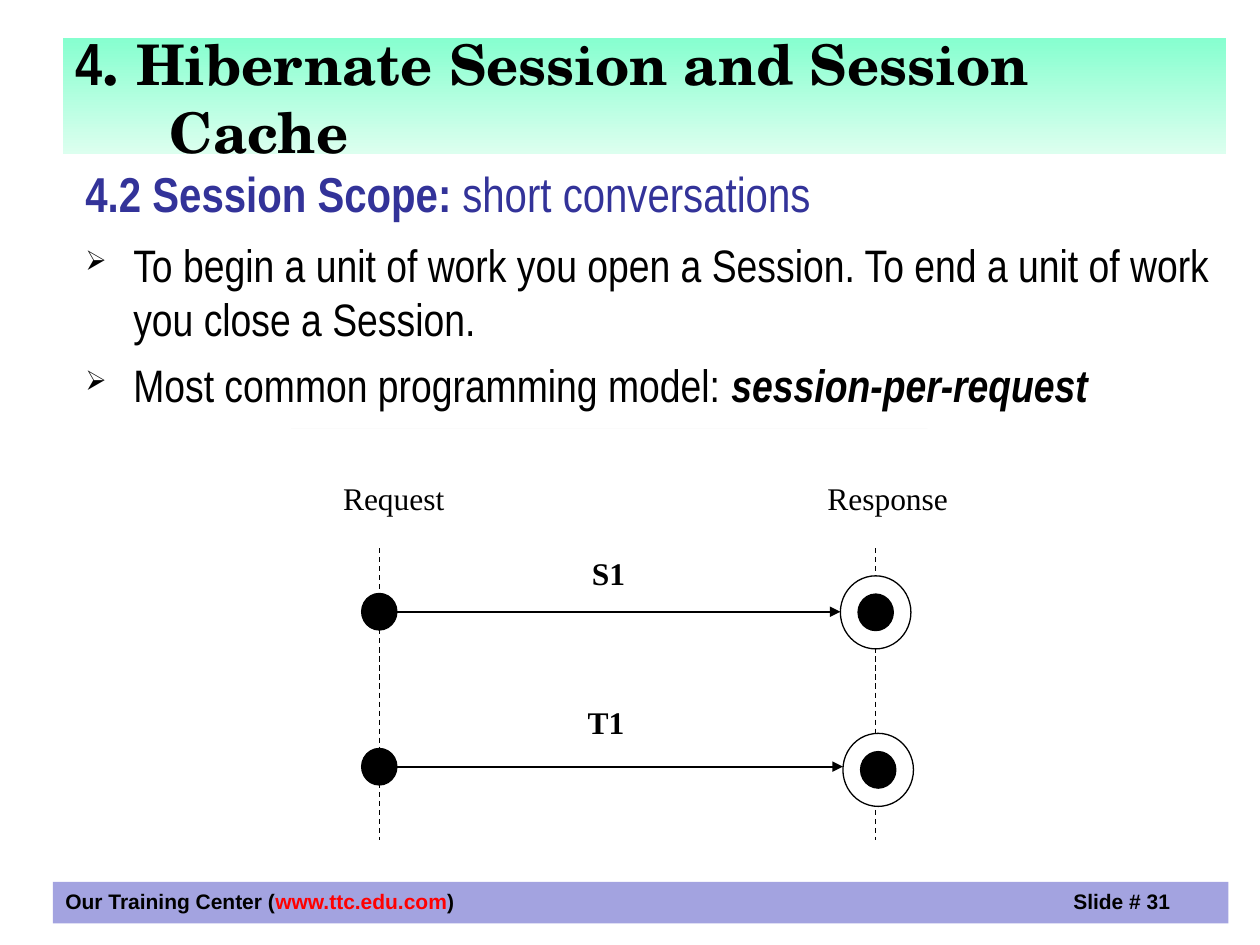
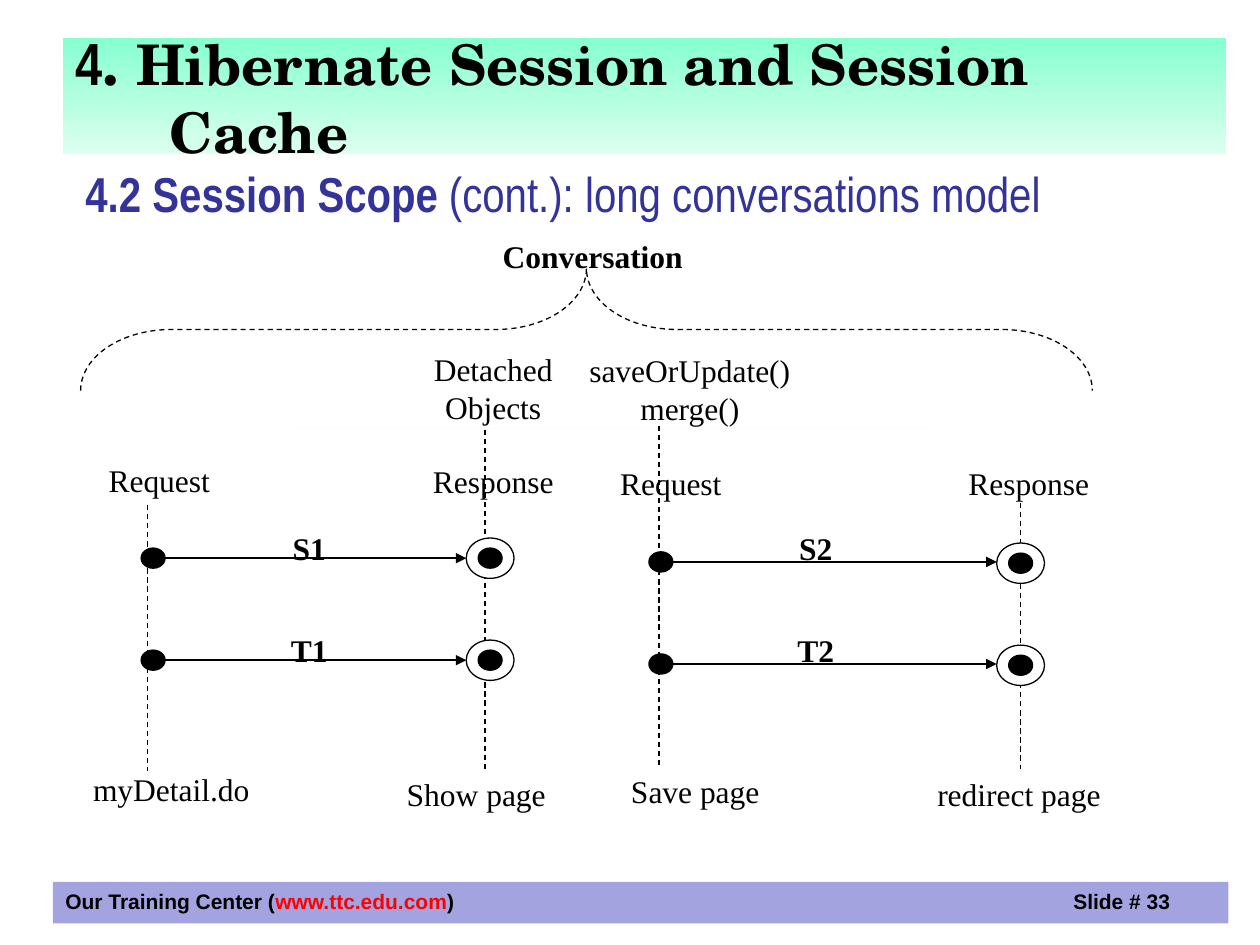
"""Builds two slides on Hibernate session scope: short and long conversations."""
from lxml import etree
from pptx import Presentation
from pptx.dml.color import RGBColor
from pptx.enum.dml import MSO_LINE
from pptx.enum.shapes import MSO_CONNECTOR, MSO_SHAPE
from pptx.enum.text import MSO_ANCHOR, PP_ALIGN
from pptx.oxml.ns import qn
from pptx.util import Inches, Pt

BLACK = RGBColor(0x00, 0x00, 0x00)
WHITE = RGBColor(0xFF, 0xFF, 0xFF)
RED = RGBColor(0xFF, 0x00, 0x00)
NAVY = RGBColor(0x33, 0x33, 0x99)
LAVENDER = RGBColor(0xA3, 0xA3, 0xE0)
MINT = RGBColor(0x86, 0xFF, 0xCF)
PALE_MINT = RGBColor(0xDC, 0xFF, 0xEF)
PALE_GRAY = RGBColor(0xE6, 0xE6, 0xE6)
RECTANGLE, OVAL, BRACE = MSO_SHAPE.RECTANGLE, MSO_SHAPE.OVAL, MSO_SHAPE.RIGHT_BRACE
STRAIGHT = MSO_CONNECTOR.STRAIGHT
DASH = MSO_LINE.DASH
LEFT, CENTER = PP_ALIGN.LEFT, PP_ALIGN.CENTER
TOP, MIDDLE = MSO_ANCHOR.TOP, MSO_ANCHOR.MIDDLE
NARROW, SCHOLA, TIMES = "Arial Narrow", "TeX Gyre Schola", "Times New Roman"

ROW_STEP = 0.81
SLIDES = [
    {
        "number": 31,
        "heading": ("4.2 Session Scope: ", "short conversations"),
        "bullets": [
            [("To begin a unit of work you open a Session. "
              "To end a unit of work you close a Session.", False)],
            [("Most common programming model: ", False), ("session-per-request", True)],
        ],
        "lifelines": [(3.01, 4.35, 6.67), (6.95, 4.35, 6.67)],
        "dot_size": (0.28, 0.29),
        "ring_size": (0.56, 0.58),
        "exchanges": [
            ("S1", (2.87, 4.71), (6.67, 4.57), (4.41, 4.35, 0.84, 0.87)),
            ("T1", (2.87, 5.94), (6.69, 5.82), (4.39, 5.53, 0.84, 0.87)),
        ],
        "labels": [
            ("Request", (2, 3.75, 2.25, 0.87), CENTER),
            ("Response", (5.92, 3.75, 2.25, 0.87), CENTER),
        ],
    },
    {
        "number": 33,
        "heading": ("4.2 Session Scope ", "(cont.): long conversations model"),
        "bullets": [],
        "lifelines": [(1.17, 4.01, 6.12), (3.85, 3.41, 6.12),
                      (5.23, 3.38, 6.1), (8.1, 3.99, 6.1)],
        "dot_size": (0.19, 0.16),
        "ring_size": (0.38, 0.32),
        "exchanges": [
            (f"{kind}{request}", (dot_left, dot_top + row * ROW_STEP),
             (ring_left, ring_top + row * ROW_STEP),
             (name_left, 4.15 + row * ROW_STEP, 0.57, 0.49))
            for row, kind in enumerate("ST")
            for request, dot_left, dot_top, ring_left, ring_top, name_left in (
                (1, 1.12, 4.35, 3.7, 4.27, 2.17),
                (2, 5.15, 4.38, 7.91, 4.31, 6.19),
            )
        ],
        "labels": [
            ("Request", (0.5, 3.61, 1.53, 0.49), CENTER),
            ("Response", (3.15, 3.62, 1.53, 0.49), CENTER),
            ("Request", (4.56, 3.63, 1.53, 0.49), CENTER),
            ("Response", (7.4, 3.63, 1.53, 0.49), CENTER),
            ("myDetail.do", (0.64, 6.06, 1.53, 0.49), LEFT),
            ("Show page", (3.13, 6.1, 1.53, 0.49), LEFT),
            ("Save page", (4.91, 6.08, 1.53, 0.49), LEFT),
            ("redirect page", (7.34, 6.1, 1.91, 0.49), LEFT),
            ("Detached Objects", (3.15, 2.73, 1.53, 0.65), CENTER),
            ("saveOrUpdate()\nmerge()", (4.52, 2.74, 1.91, 0.76), CENTER),
        ],
    },
]


def add_label(slide, text, box, alignment=CENTER, bold=False):
    frame = slide.shapes.add_textbox(*map(Inches, box)).text_frame
    frame.word_wrap = True
    frame.text = text
    for paragraph in frame.paragraphs:
        paragraph.alignment = alignment
        paragraph.font.name = TIMES
        paragraph.font.size = Pt(18)
        paragraph.font.bold = bold
        paragraph.font.color.rgb = BLACK


def add_line(slide, ends, width, arrow=False):
    line = slide.shapes.add_connector(STRAIGHT, *map(Inches, ends))
    line.line.color.rgb = BLACK
    line.line.width = Pt(width)
    properties = line.element.spPr
    if arrow:
        etree.SubElement(properties.find(qn("a:ln")), qn("a:tailEnd"), type="triangle")
    else:
        line.line.dash_style = DASH
    etree.SubElement(properties, qn("a:effectLst"))


presentation = Presentation()
presentation.slide_width = Inches(10)
presentation.slide_height = Inches(7.5)

for content in SLIDES:
    slide = presentation.slides.add_slide(presentation.slide_layouts[6])
    shapes = slide.shapes

    footer, title, rule = [
        shapes.add_shape(RECTANGLE, *map(Inches, box))
        for box in ((0.42, 7, 9.33, 0.33), (0.5, 0.3, 9.23, 0.92), (2.31, 3.4, 5.05, 0))
    ]
    for band, color in ((footer, LAVENDER), (title, None), (rule, PALE_GRAY)):
        band.shadow.inherit = False
        band.line.fill.background()
        if color:
            band.fill.solid()
            band.fill.fore_color.rgb = color

    footer.text_frame.vertical_anchor = TOP
    paragraph = footer.text_frame.paragraphs[0]
    paragraph.alignment = LEFT
    tabs = etree.SubElement(paragraph._p.get_or_add_pPr(), qn("a:tabLst"))
    etree.SubElement(tabs, qn("a:tab"), pos=str(Inches(8)), algn="l")
    paragraph.font.name = "Arial"
    paragraph.font.size = Pt(12)
    paragraph.font.bold = True
    for text, color in (("Our Training Center (", BLACK), ("www.ttc.edu.com", RED),
                        (f")\tSlide # {content['number']}", BLACK)):
        run = paragraph.add_run()
        run.text = text
        run.font.color.rgb = color

    title.fill.gradient()
    title.fill.gradient_angle = 270
    for stop, color in zip(title.fill.gradient_stops, (MINT, PALE_MINT)):
        stop.color.rgb = color
    title.text_frame.word_wrap = True
    title.text_frame.vertical_anchor = MIDDLE
    paragraph = title.text_frame.paragraphs[0]
    paragraph.alignment = LEFT
    indents = paragraph._p.get_or_add_pPr()
    indents.set("marL", str(Inches(0.75)))
    indents.set("indent", str(Inches(-0.75)))
    paragraph.font.bold = True
    paragraph.font.color.rgb = BLACK
    for text, font_name, size in (("4", NARROW, 34), (". ", SCHOLA, 34),
                                  ("Hibernate Session and Session Cache", SCHOLA, 32)):
        run = paragraph.add_run()
        run.text = text
        run.font.name = font_name
        run.font.size = Pt(size)

    heading = shapes.add_textbox(Inches(0.58), Inches(1.25), Inches(8), Inches(0.67))
    heading.text_frame.word_wrap = True
    paragraph = heading.text_frame.paragraphs[0]
    paragraph.font.name = NARROW
    paragraph.font.size = Pt(28)
    paragraph.font.color.rgb = NAVY
    for text, bold in zip(content["heading"], (True, False)):
        run = paragraph.add_run()
        run.text = text
        run.font.bold = bold

    if content["bullets"]:
        body = shapes.add_textbox(Inches(0.58), Inches(1.83), Inches(9.17), Inches(2))
        body.text_frame.word_wrap = True
    for index, runs in enumerate(content["bullets"]):
        frame = body.text_frame
        paragraph = frame.add_paragraph() if index else frame.paragraphs[0]
        bullet = paragraph._p.get_or_add_pPr()
        bullet.set("marL", str(Inches(0.38)))
        bullet.set("indent", str(Inches(-0.38)))
        bullet_color = etree.SubElement(bullet, qn("a:buClr"))
        etree.SubElement(bullet_color, qn("a:srgbClr"), val=str(BLACK))
        etree.SubElement(bullet, qn("a:buSzPct"), val="60000")
        etree.SubElement(bullet, qn("a:buChar"), char="➢")
        if index:
            paragraph.space_before = Pt(6.5)
        paragraph.font.name = NARROW
        paragraph.font.size = Pt(26)
        paragraph.font.color.rgb = BLACK
        for text, emphasized in runs:
            run = paragraph.add_run()
            run.text = text
            run.font.bold = run.font.italic = emphasized

    for x, top, bottom in content["lifelines"]:
        add_line(slide, (x, top, x, bottom), 0.75)

    dot_width, dot_height = content["dot_size"]
    ring_width, ring_height = content["ring_size"]
    for name, (dot_left, dot_top), (ring_left, ring_top), name_box in content["exchanges"]:
        core_left = ring_left + (ring_width - dot_width) / 2
        core_top = ring_top + (ring_height - dot_height) / 2
        for left, top, width, height, color in (
            (dot_left, dot_top, dot_width, dot_height, BLACK),
            (ring_left, ring_top, ring_width, ring_height, WHITE),
            (core_left, core_top, dot_width, dot_height, BLACK),
        ):
            circle = shapes.add_shape(OVAL, *map(Inches, (left, top, width, height)))
            circle.shadow.inherit = False
            circle.fill.solid()
            circle.fill.fore_color.rgb = color
            circle.line.color.rgb = BLACK
            circle.line.width = Pt(0.75)
        arrow_y = dot_top + dot_height / 2
        add_line(slide, (dot_left + dot_width, arrow_y, ring_left, arrow_y), 1, arrow=True)
        add_label(slide, name, name_box, bold=True)

    for text, box, alignment in content["labels"]:
        add_label(slide, text, box, alignment)

brace = shapes.add_shape(BRACE, Inches(4.17), Inches(-1.4), Inches(0.97), Inches(8.03))
brace.rotation = 270
brace.adjustments[0] = 0.74
brace.shadow.inherit = False
brace.fill.background()
brace.line.color.rgb = BLACK
brace.line.width = Pt(0.75)
brace.line.dash_style = DASH
add_label(slide, "Conversation", (3.27, 1.83, 2.87, 0.65), bold=True)

presentation.save("out.pptx")
